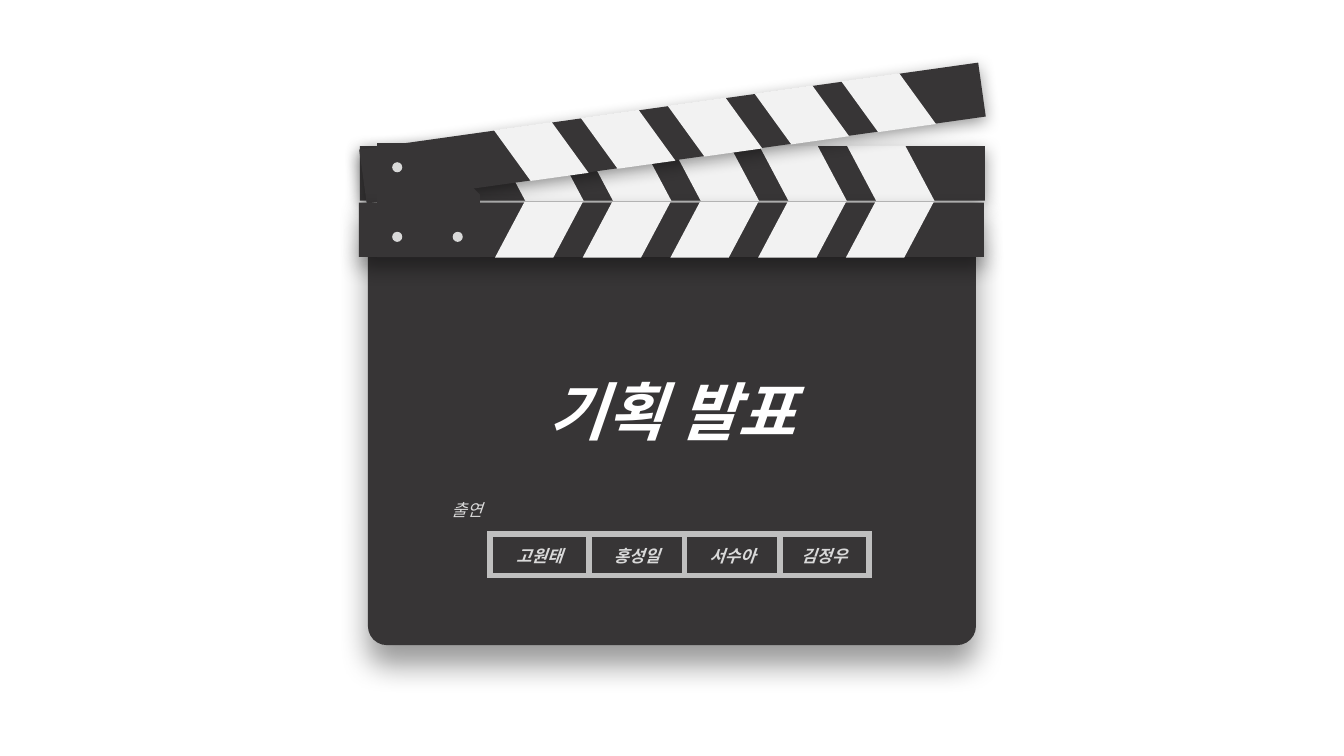
import math

import pptx
import pptx.dml.color
import pptx.enum.shapes
import pptx.enum.text
import pptx.oxml.ns
import pptx.util
from lxml import etree

Inches = pptx.util.Inches
Pt = pptx.util.Pt
qn = pptx.oxml.ns.qn
SHAPES = pptx.enum.shapes.MSO_SHAPE
ALIGN = pptx.enum.text.PP_ALIGN
ANCHOR = pptx.enum.text.MSO_ANCHOR

COLORS = {
    "slate": "373536",
    "stripe": "F2F2F2",
    "rivet": "D9D9D9",
    "border": "BFBFBF",
    "title": "FFFFFF",
    "shadow": "000000",
}
FONT = "Noto Sans CJK KR"
BAR_WIDTH, BAR_HEIGHT = 6.2, 0.54
STRIPE_COUNT, STRIPE_WIDTH, STRIPE_HEIGHT = 5, 0.87, 0.55
STRIPE_START = 1.35


def rgb(name):
    return pptx.dml.color.RGBColor.from_string(COLORS[name])


def add_filled(shapes, kind, box, color, adjustments=()):
    shape = shapes.add_shape(kind, *[Inches(value) for value in box])
    shape.shadow.inherit = False
    shape.fill.solid()
    shape.fill.fore_color.rgb = rgb(color)
    shape.line.fill.background()
    for index, value in enumerate(adjustments):
        shape.adjustments[index] = value
    return shape


def add_drop_shadow(shape, blur, distance):
    effects = shape._element.spPr.find(qn("a:effectLst"))
    shadow = etree.SubElement(
        effects, qn("a:outerShdw"), blurRad=str(Pt(blur)), dist=str(Pt(distance)),
        dir="5400000", algn="t", rotWithShape="0")
    color = etree.SubElement(shadow, qn("a:srgbClr"), val=COLORS["shadow"])
    etree.SubElement(color, qn("a:alpha"), val="40000")


def write(paragraph, text, size, color, bold=False, align=ALIGN.CENTER):
    paragraph.text = text
    paragraph.alignment = align
    font = paragraph.font
    font.size = Pt(size)
    font.bold = bold
    font.italic = True
    font.color.rgb = rgb(color)
    font.name = FONT
    etree.SubElement(font._rPr, qn("a:ea"), typeface=FONT)


def add_text(slide, box, text, size, color, bold=False, align=ALIGN.CENTER, spacing=1.0):
    shape = slide.shapes.add_textbox(*[Inches(value) for value in box])
    shape.text_frame.word_wrap = True
    paragraph = shape.text_frame.paragraphs[0]
    write(paragraph, text, size, color, bold, align)
    paragraph.line_spacing = spacing


def add_striped_bar(slide, left, top, blur, distance, angle=0, flipped=False):
    group = slide.shapes.add_group_shape()
    bar = add_filled(group.shapes, SHAPES.RECTANGLE,
                     (left, top, BAR_WIDTH, BAR_HEIGHT), "slate")
    bar.rotation = angle
    add_drop_shadow(bar, blur, distance)
    center_x, center_y = left + BAR_WIDTH / 2, top + BAR_HEIGHT / 2
    turn = math.radians(angle)
    for index in range(STRIPE_COUNT):
        offset = STRIPE_START + (index + 0.5) * STRIPE_WIDTH - BAR_WIDTH / 2
        x = center_x + offset * math.cos(turn) - STRIPE_WIDTH / 2
        y = center_y + offset * math.sin(turn) - STRIPE_HEIGHT / 2
        stripe = add_filled(group.shapes, SHAPES.PARALLELOGRAM,
                            (x, y, STRIPE_WIDTH, STRIPE_HEIGHT), "stripe", [0.53])
        stripe.rotation = angle
        if flipped:
            stripe._element.spPr.find(qn("a:xfrm")).set("flipV", "1")


def add_board(slide, left, top, width, height):
    board = add_filled(slide.shapes, SHAPES.ROUND_2_SAME_RECTANGLE,
                       (left, top, width, height), "slate", [0, 0.045])
    add_drop_shadow(board, 21, 14)


def add_hinge(slide, left, top, width, height):
    add_filled(slide.shapes, SHAPES.SNIP_1_RECTANGLE,
               (left, top, width, height), "slate", [0.5])
    for x, y in ((0.15, 0.88), (0.75, 0.88), (0.15, 0.19)):
        add_filled(slide.shapes, SHAPES.OVAL, (left + x, top + y, 0.1, 0.1), "rivet")


def add_cell_borders(cell):
    properties = cell._tc.get_or_add_tcPr()
    for index, side in enumerate(("lnL", "lnR", "lnT", "lnB")):
        line = etree.Element(qn(f"a:{side}"), w=str(Pt(4.5)))
        fill = etree.SubElement(line, qn("a:solidFill"))
        etree.SubElement(fill, qn("a:srgbClr"), val=COLORS["border"])
        properties.insert(index, line)


def add_cast_table(slide, left, top, height, members):
    width = sum(member_width for _, member_width in members)
    frame = slide.shapes.add_table(1, len(members), Inches(left), Inches(top),
                                   Inches(width), Inches(height))
    table = frame.table
    table.first_row = False
    table.horz_banding = False
    for index, (name, member_width) in enumerate(members):
        table.columns[index].width = Inches(member_width)
        cell = table.cell(0, index)
        cell.fill.background()
        cell.vertical_anchor = ANCHOR.MIDDLE
        write(cell.text_frame.paragraphs[0], name, 12, "rivet", bold=True)
        add_cell_borders(cell)


def add_board_text(slide, left, top, width):
    add_text(slide, (left, top + 1.05, width, 1.09), "기획 발표", 45, "title",
             bold=True, spacing=1.5)
    add_text(slide, (left + 0.73, top + 2.69, 0.8, 0.3), "출연", 12, "rivet",
             align=ALIGN.LEFT)
    table_top = top + 3.08
    add_cast_table(slide, left + 1.21, table_top, 0.41,
                   [("고원태", 0.98), ("홍성일", 0.95), ("서수아", 0.95)])
    add_cast_table(slide, left + 4.08, table_top, 0.41, [("김정우", 0.89)])


def build_clapperboard(slide):
    add_striped_bar(slide, 3.57, 1.45, 12, 3, flipped=True)
    add_striped_bar(slide, 3.57, 1.05, 12, 3, angle=-8, flipped=True)
    add_board(slide, 3.65, 2.22, 6.03, 4.18)
    add_striped_bar(slide, 3.56, 2.01, 15, 7)
    add_hinge(slide, 3.74, 1.42, 1.02, 1.13)
    add_board_text(slide, 3.65, 2.22, 6.03)


def main():
    presentation = pptx.Presentation()
    presentation.slide_width = Inches(13.33)
    presentation.slide_height = Inches(7.5)
    slide = presentation.slides.add_slide(presentation.slide_layouts[6])
    build_clapperboard(slide)
    presentation.save("out.pptx")


if __name__ == "__main__":
    main()
